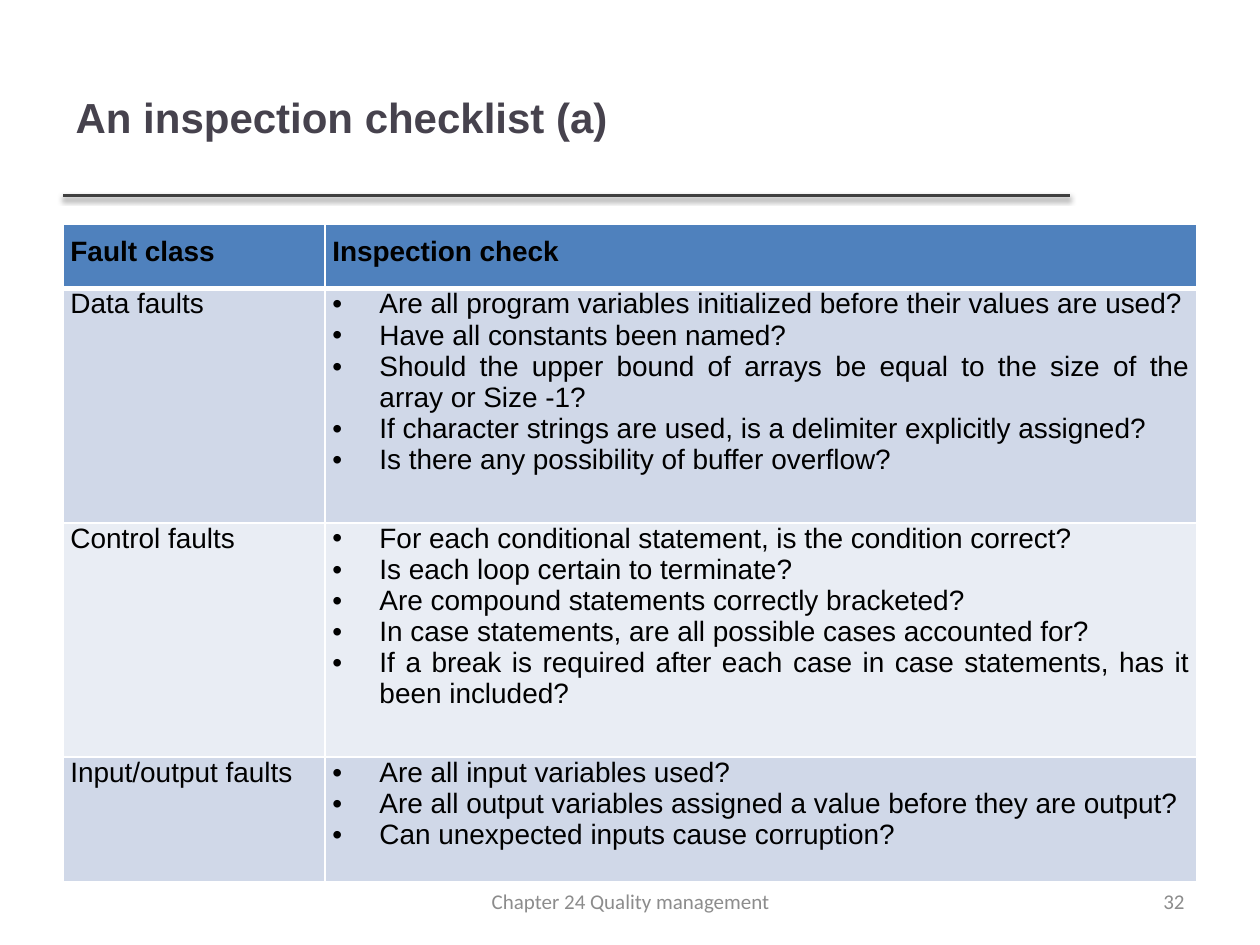
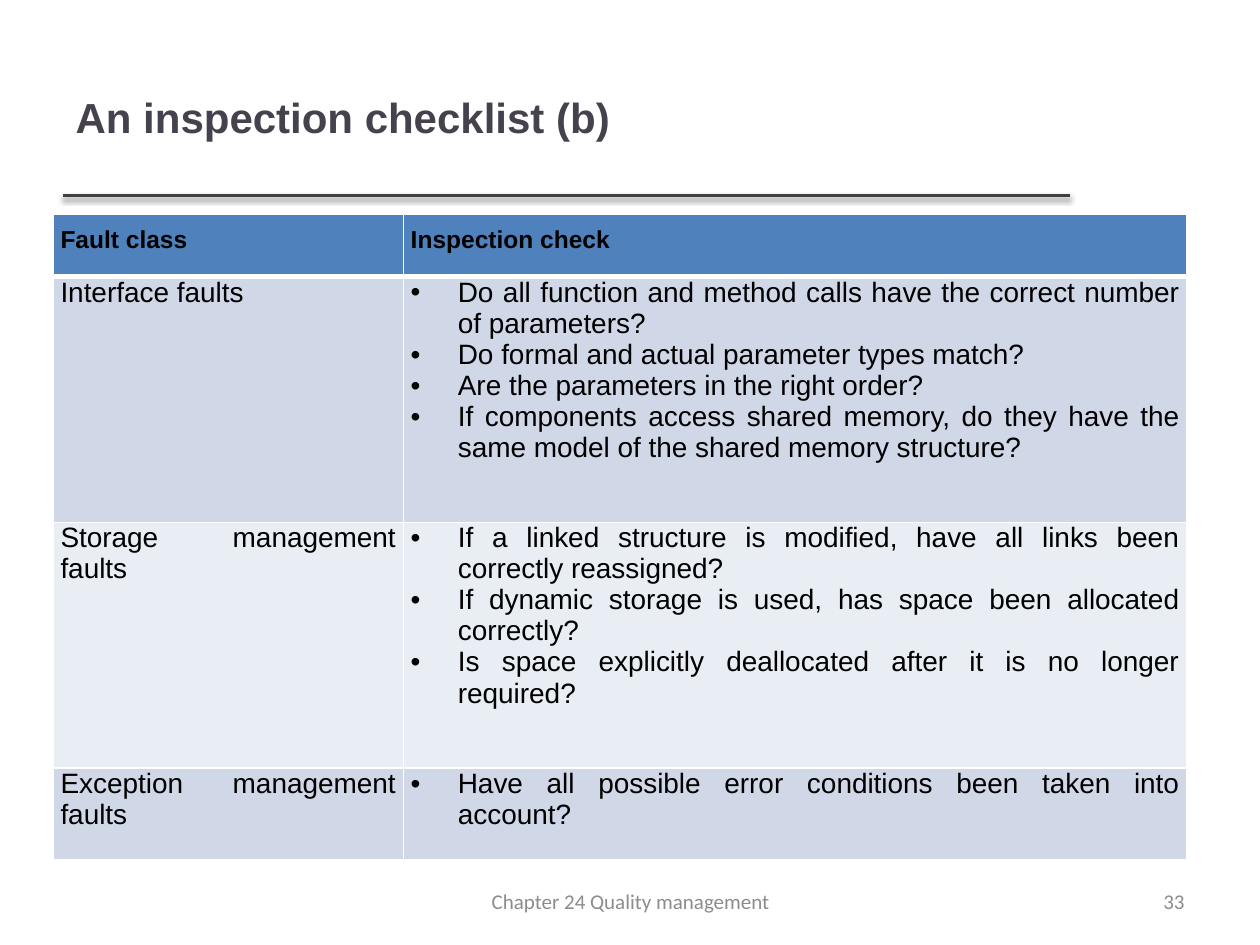
from dataclasses import dataclass

import lxml.etree
import pptx
import pptx.dml.color
import pptx.enum.shapes
import pptx.enum.text
import pptx.oxml.ns
import pptx.util

Cm = pptx.util.Cm
ALIGN = pptx.enum.text.PP_ALIGN
MIDDLE = pptx.enum.text.MSO_ANCHOR.MIDDLE


@dataclass(frozen=True)
class Theme:
    # Colours
    title: str = "46424D"
    rule: str = "404040"
    text: str = "000000"
    footer: str = "8C8C8C"
    header_fill: str = "4F81BD"
    band_fills: tuple = ("D0D8E8", "E9EDF4")
    border: str = "FFFFFF"
    # Fonts and type sizes
    font: str = "Arial"
    footer_font: str = "Calibri"
    title_size: int = 24
    body_size: int = 16
    footer_size: int = 12


def color(value):
    return pptx.dml.color.RGBColor.from_string(value)


def add_element(parent, tag, **attributes):
    """Append a DrawingML element, for settings without a public method."""
    element = lxml.etree.SubElement(parent, pptx.oxml.ns.qn(tag))
    for name, value in attributes.items():
        element.set(name, str(value))
    return element


def write_text(text_frame, text, *, font, size, ink, bold=False,
               align=ALIGN.LEFT, bullet=False):
    """Write one paragraph, reusing the first one while it is empty."""
    paragraph = text_frame.paragraphs[0]
    if paragraph.runs:
        paragraph = text_frame.add_paragraph()
    paragraph.alignment = align
    if bullet:
        properties = paragraph._p.get_or_add_pPr()
        indent = Cm(0.95)
        properties.set("marL", str(indent))
        properties.set("indent", str(-indent))
        add_element(properties, "a:buFont", typeface="Arial")
        add_element(properties, "a:buChar", char="•")
    run = paragraph.add_run()
    run.text = text
    run.font.name = font
    run.font.size = pptx.util.Pt(size)
    run.font.bold = bold
    run.font.color.rgb = color(ink)


class Deck:
    def __init__(self, theme):
        self.theme = theme
        self.slide = None
        self.presentation = pptx.Presentation()
        self.presentation.slide_width = Cm(25.4)
        self.presentation.slide_height = Cm(19.05)

    def add_slide(self, title, number):
        layout = self.presentation.slide_layouts.get_by_name("Title Only")
        self.slide = self.presentation.slides.add_slide(layout)
        self.add_rule()
        self.set_title(title)
        self.add_footer(str(number), 18.21, 5.92, ALIGN.RIGHT)
        self.add_footer("Chapter 24 Quality management", 8.69, 8.05, ALIGN.CENTER)

    def set_title(self, text):
        shape = self.slide.shapes.title
        shape.left, shape.top = Cm(1.27), Cm(0.76)
        shape.width, shape.height = Cm(20.27), Cm(3.18)
        shape.text_frame.auto_size = pptx.enum.text.MSO_AUTO_SIZE.NONE
        shape.text_frame.vertical_anchor = MIDDLE
        write_text(shape.text_frame, text, font=self.theme.font,
                   size=self.theme.title_size, ink=self.theme.title, bold=True)

    def add_rule(self):
        """Draw the line under the title, with its soft shadow."""
        line = self.slide.shapes.add_connector(
            pptx.enum.shapes.MSO_CONNECTOR.STRAIGHT,
            Cm(1.27), Cm(3.94), Cm(21.56), Cm(3.94))
        line.line.color.rgb = color(self.theme.rule)
        line.line.width = pptx.util.Pt(2)
        effects = add_element(line._element.spPr, "a:effectLst")
        shadow = add_element(effects, "a:outerShdw", blurRad=pptx.util.Pt(3.1),
                             dist=pptx.util.Pt(1.6), dir=90 * 60000, rotWithShape=0)
        shade = add_element(shadow, "a:srgbClr", val="000000")
        add_element(shade, "a:alpha", val=38000)

    def add_footer(self, text, left, width, align):
        box = self.slide.shapes.add_textbox(Cm(left), Cm(17.65), Cm(width), Cm(1.02))
        box.text_frame.word_wrap = True
        box.text_frame.vertical_anchor = MIDDLE
        write_text(box.text_frame, text, font=self.theme.footer_font,
                   size=self.theme.footer_size, ink=self.theme.footer, align=align)

    def add_checklist(self, checks, *, left, top, widths, heights, header_size):
        """Draw a table with a header and one banded row per fault class."""
        table = self.slide.shapes.add_table(
            len(heights), len(widths), Cm(left), Cm(top),
            Cm(sum(widths)), Cm(sum(heights))).table
        for column, width in zip(table.columns, widths):
            column.width = Cm(width)
        for row, height in zip(table.rows, heights):
            row.height = Cm(height)

        # Header
        for index, text in enumerate(("Fault class", "Inspection check")):
            self.fill_cell(table.cell(0, index), [text], self.theme.header_fill,
                           size=header_size, header=True)

        # Fault classes and their checks
        bands = self.theme.band_fills
        for index, (fault, questions) in enumerate(checks.items()):
            fill = bands[index % len(bands)]
            self.fill_cell(table.cell(index + 1, 0), [fault], fill)
            self.fill_cell(table.cell(index + 1, 1), questions, fill, bullet=True)

    def fill_cell(self, cell, lines, fill, *, size=None, header=False, bullet=False):
        cell.margin_left = cell.margin_right = Cm(0.15)
        cell.margin_top = Cm(0.25 if header else 0)
        cell.margin_bottom = Cm(0.25)
        properties = cell._tc.get_or_add_tcPr()
        for side in "LRTB":
            points = 3 if header and side == "B" else 1
            border = add_element(properties, f"a:ln{side}", w=pptx.util.Pt(points))
            paint = add_element(border, "a:solidFill")
            add_element(paint, "a:srgbClr", val=self.theme.border)
        cell.fill.solid()
        cell.fill.fore_color.rgb = color(fill)
        for line in lines:
            write_text(cell.text_frame, line, font=self.theme.font,
                       size=size or self.theme.body_size, ink=self.theme.text,
                       bold=header, align=ALIGN.JUSTIFY, bullet=bullet)


deck = Deck(Theme())

# Checklist, first part
deck.add_slide("An inspection checklist (a)", 32)
deck.add_checklist(
    {
        "Data faults": [
            "Are all program variables initialized before their values are used?",
            "Have all constants been named?",
            "Should the upper bound of arrays be equal to the size of the array or Size -1?",
            "If character strings are used, is a delimiter explicitly assigned?",
            "Is there any possibility of buffer overflow?",
        ],
        "Control faults": [
            "For each conditional statement, is the condition correct?",
            "Is each loop certain to terminate?",
            "Are compound statements correctly bracketed?",
            "In case statements, are all possible cases accounted for?",
            "If a break is required after each case in case statements, "
            "has it been included?",
        ],
        "Input/output faults": [
            "Are all input variables used?",
            "Are all output variables assigned a value before they are output?",
            "Can unexpected inputs cause corruption?",
        ],
    },
    left=1.27, top=4.52, widths=(5.28, 17.58),
    heights=(1.3, 4.72, 4.72, 2.51), header_size=16)

# Checklist, second part
deck.add_slide("An inspection checklist (b)", 33)
deck.add_checklist(
    {
        "Interface faults": [
            "Do all function and method calls have the correct number of parameters?",
            "Do formal and actual parameter types match?",
            "Are the parameters in the right order?",
            "If components access shared memory, do they have the same model "
            "of the shared memory structure?",
        ],
        "Storage management faults": [
            "If a linked structure is modified, have all links been correctly reassigned?",
            "If dynamic storage is used, has space been allocated correctly?",
            "Is space explicitly deallocated after it is no longer required?",
        ],
        "Exception management faults": [
            "Have all possible error conditions been taken into account?",
        ],
    },
    left=1.07, top=4.32, widths=(7.06, 15.8),
    heights=(1.26, 4.95, 4.95, 1.85), header_size=14)

deck.presentation.save("out.pptx")
